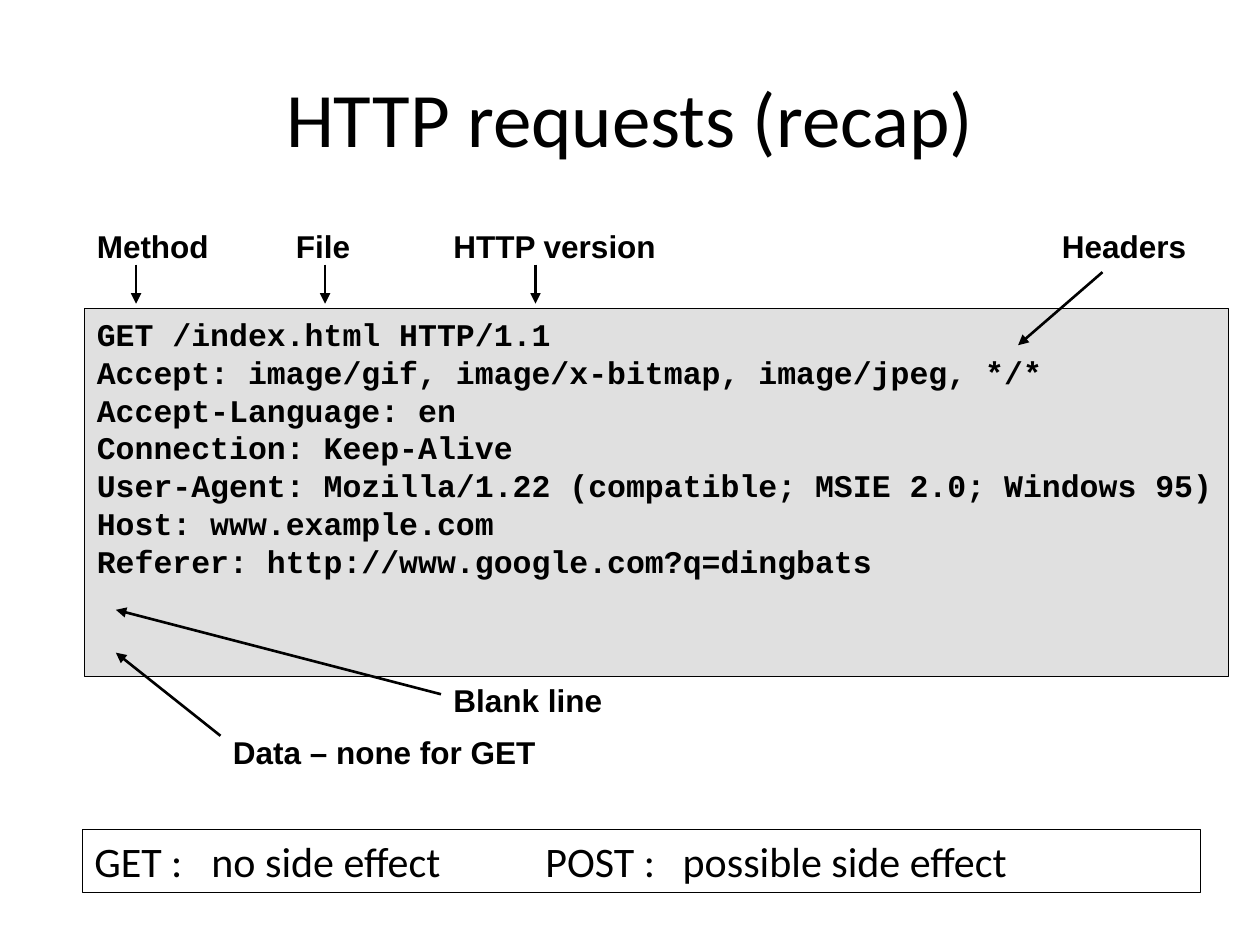
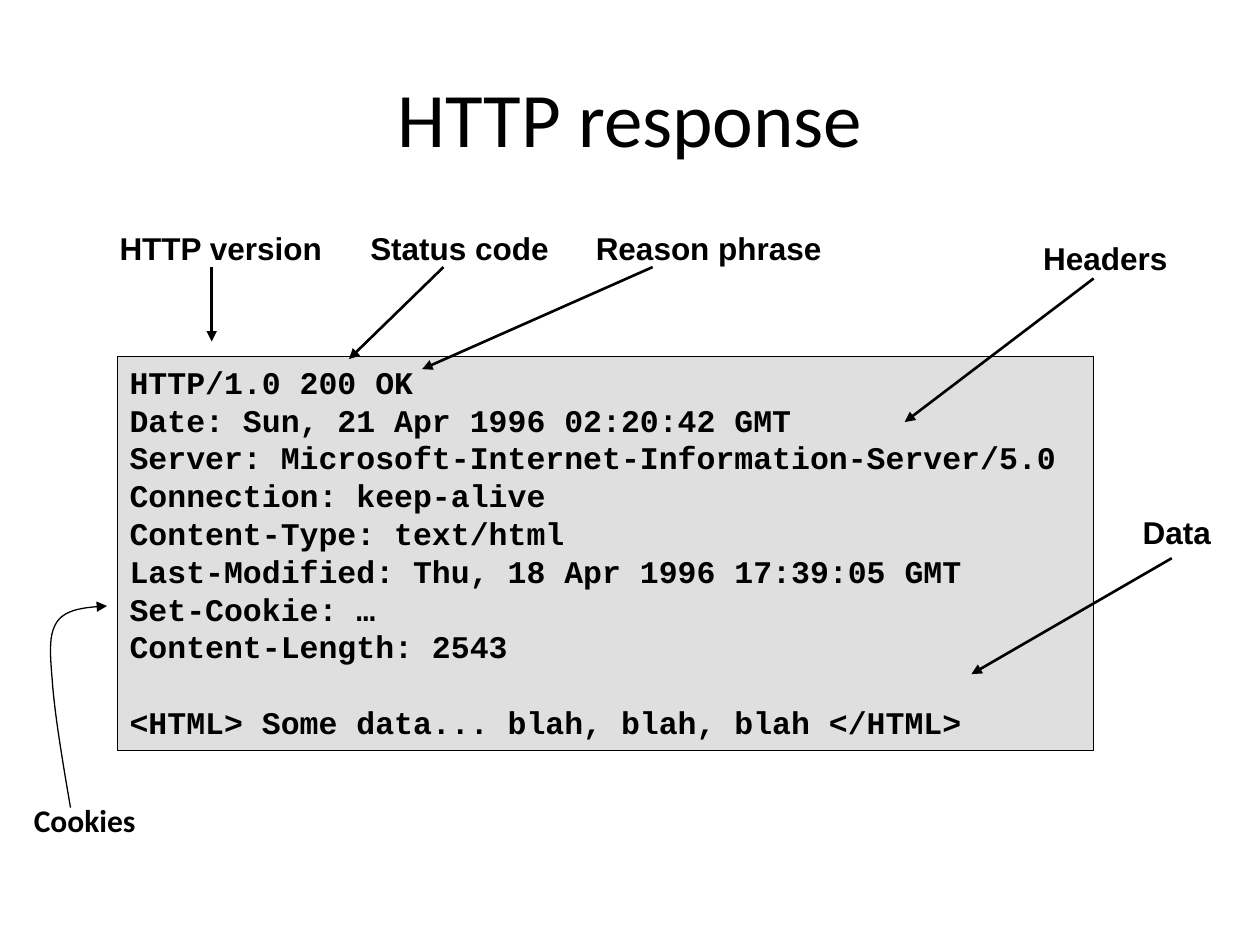
from pptx import Presentation
from pptx.dml.color import RGBColor
from pptx.enum.shapes import MSO_CONNECTOR, MSO_SHAPE
from pptx.enum.text import MSO_ANCHOR, PP_ALIGN
from pptx.oxml.ns import qn
from pptx.util import Inches, Pt
from lxml.etree import SubElement

COLORS = {"ink": "000000", "code_fill": "808080"}
INK = RGBColor.from_string(COLORS["ink"])
CODE_PITCH = 21.6


def write(frame, text, font="Arial", size=18, bold=True, align=PP_ALIGN.LEFT,
          anchor=MSO_ANCHOR.TOP, wrap=True, pitch=None, tabs=()):
    frame.word_wrap = wrap
    frame.vertical_anchor = anchor
    for index, line in enumerate(text.split("\n")):
        paragraph = frame.paragraphs[0] if index == 0 else frame.add_paragraph()
        paragraph.alignment = align
        if pitch:
            paragraph.line_spacing = Pt(pitch)
        if tabs:
            tab_list = SubElement(paragraph._p.get_or_add_pPr(), qn("a:tabLst"))
            for stop in tabs:
                SubElement(tab_list, qn("a:tab"), pos=str(Inches(stop)), algn="l")
        run = paragraph.add_run()
        run.text = line
        run.font.name = font
        run.font.size = Pt(size)
        run.font.bold = bold
        run.font.color.rgb = INK


def style_arrow(arrow, width):
    arrow.line.color.rgb = INK
    arrow.line.width = Pt(width)
    properties = arrow._element.spPr
    SubElement(properties.find(qn("a:ln")), qn("a:tailEnd"), type="triangle")
    SubElement(properties, qn("a:effectLst"))


REQUEST = """GET /index.html HTTP/1.1
Accept: image/gif, image/x-bitmap, image/jpeg, */*
Accept-Language: en
Connection: Keep-Alive
User-Agent: Mozilla/1.22 (compatible; MSIE 2.0; Windows 95)
Host: www.example.com
Referer: http://www.google.com?q=dingbats"""

RESPONSE = """HTTP/1.0 200 OK
Date: Sun, 21 Apr 1996 02:20:42 GMT
Server: Microsoft-Internet-Information-Server/5.0
Connection: keep-alive
Content-Type: text/html
Last-Modified: Thu, 18 Apr 1996 17:39:05 GMT
Set-Cookie: …
Content-Length: 2543
<HTML> Some data... blah, blah, blah </HTML>"""

messages = [
    {
        "title": "HTTP requests (recap)",
        "code": REQUEST, "code_box": (0.67, 2.45, 9.08, 2.92), "alpha": 24,
        "labels": [
            ("Method", 0.67, 1.75, 1.09, (1.08, 2.1, 1.08, 2.41)),
            ("File", 2.25, 1.75, 0.63, (2.58, 2.1, 2.58, 2.41)),
            ("HTTP version", 3.5, 1.75, 1.81, (4.25, 2.1, 4.25, 2.41)),
            ("Headers", 8.33, 1.75, 1.19, (8.75, 2.16, 8.08, 2.74)),
            ("Data – none for GET", 1.75, 5.77, 2.6, (1.75, 5.84, 0.92, 5.18)),
            ("Blank line", 3.5, 5.36, 1.38, (3.5, 5.51, 0.92, 4.84)),
        ],
    },
    {
        "title": "HTTP response",
        "code": RESPONSE, "code_box": (0.93, 2.83, 7.75, 3.13), "alpha": 25,
        "labels": [
            ("HTTP version", 0.85, 1.77, 1.81, (1.68, 2.12, 1.68, 2.71)),
            ("Status code", 2.84, 1.77, 1.62, (3.52, 2.12, 2.77, 2.85)),
            ("Reason phrase", 4.63, 1.77, 1.99, (5.18, 2.12, 3.35, 2.93)),
            ("Headers", 8.18, 1.85, 1.19, (8.68, 2.21, 7.18, 3.35)),
            ("Data", 8.97, 4.02, 0.74, (9.3, 4.43, 7.71, 5.35)),
        ],
    },
]

deck = Presentation()
deck.slide_width = Inches(10)
deck.slide_height = Inches(7.5)
slides = []

for message in messages:
    slide = deck.slides.add_slide(deck.slide_layouts[5])
    slides.append(slide)
    title = slide.shapes.title
    title.left, title.top, title.width, title.height = map(Inches, (0.5, 0.3, 9, 1.25))
    write(title.text_frame, message["title"], font="Calibri", size=44, bold=False,
          align=PP_ALIGN.CENTER, anchor=MSO_ANCHOR.MIDDLE)

    code = slide.shapes.add_shape(MSO_SHAPE.RECTANGLE, *map(Inches, message["code_box"]))
    code.shadow.inherit = False
    code.fill.solid()
    code.fill.fore_color.rgb = RGBColor.from_string(COLORS["code_fill"])
    tint = code._element.spPr.find(qn("a:solidFill")).find(qn("a:srgbClr"))
    SubElement(tint, qn("a:alpha"), val=str(message["alpha"] * 1000))
    code.line.color.rgb = INK
    code.line.width = Pt(0.75)
    write(code.text_frame, message["code"], font="Courier New", pitch=CODE_PITCH)

    for label, left, top, width, ends in message["labels"]:
        caption = slide.shapes.add_textbox(*map(Inches, (left, top, width, 0.4)))
        write(caption.text_frame, label, wrap=False)
        pointer = slide.shapes.add_connector(MSO_CONNECTOR.STRAIGHT, *map(Inches, ends))
        style_arrow(pointer, 1.5)

    if message["code"] == RESPONSE:
        code.text_frame.paragraphs[-1].space_before = Pt(CODE_PITCH)

request_slide, response_slide = slides

side_effects = request_slide.shapes.add_shape(
    MSO_SHAPE.RECTANGLE, *map(Inches, (0.65, 6.58, 8.88, 0.5)))
side_effects.shadow.inherit = False
side_effects.fill.background()
side_effects.line.color.rgb = INK
side_effects.line.width = Pt(0.25)
write(side_effects.text_frame, "GET :\tno side effect\tPOST :\tpossible side effect",
      font="Calibri", size=24, bold=False, tabs=(0.93, 3.58, 4.67))

cookies = response_slide.shapes.add_textbox(*map(Inches, (0.17, 6.31, 1.29, 0.44)))
write(cookies.text_frame, "Cookies", font="Calibri", wrap=False)

cookie_curves = [
    ((0.56, 6.41), (0.5, 6.06), (0.44, 5.7), (0.42, 5.46)),
    ((0.42, 5.46), (0.4, 5.21), (0.38, 5.05), (0.45, 4.94)),
    ((0.45, 4.94), (0.52, 4.83), (0.69, 4.82), (0.85, 4.81)),
]
STEPS = 12
cookie_points = []
for curve in cookie_curves:
    for step in range(1, STEPS + 1):
        t = step / STEPS
        weights = ((1 - t) ** 3, 3 * t * (1 - t) ** 2, 3 * t ** 2 * (1 - t), t ** 3)
        cookie_points.append(tuple(
            Inches(sum(w * point[axis] for w, point in zip(weights, curve)))
            for axis in (0, 1)))
outline = response_slide.shapes.build_freeform(*map(Inches, cookie_curves[0][0]))
outline.add_line_segments(cookie_points, close=False)
cookie_arrow = outline.convert_to_shape()
cookie_arrow.fill.background()
style_arrow(cookie_arrow, 0.75)

deck.save("out.pptx")
